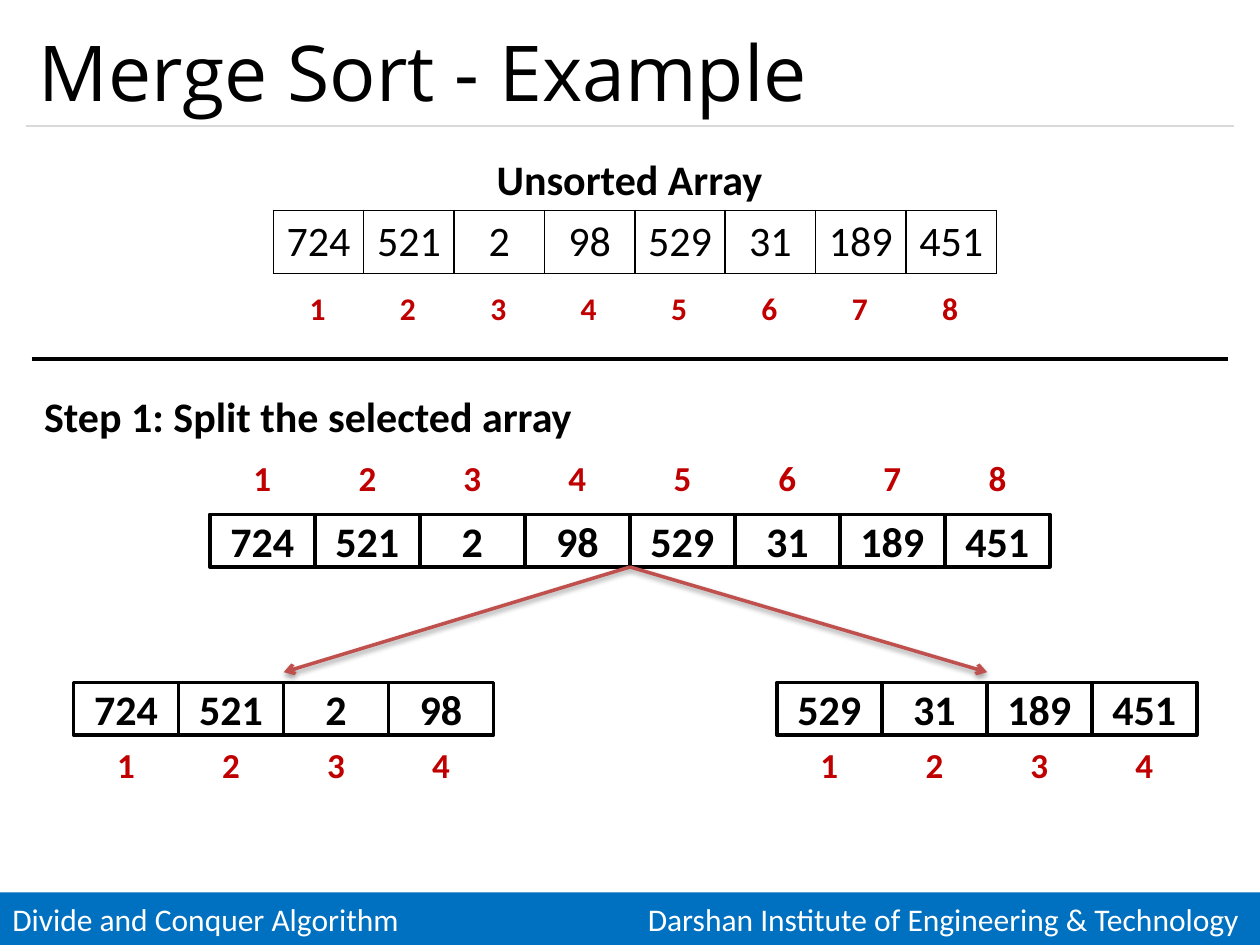
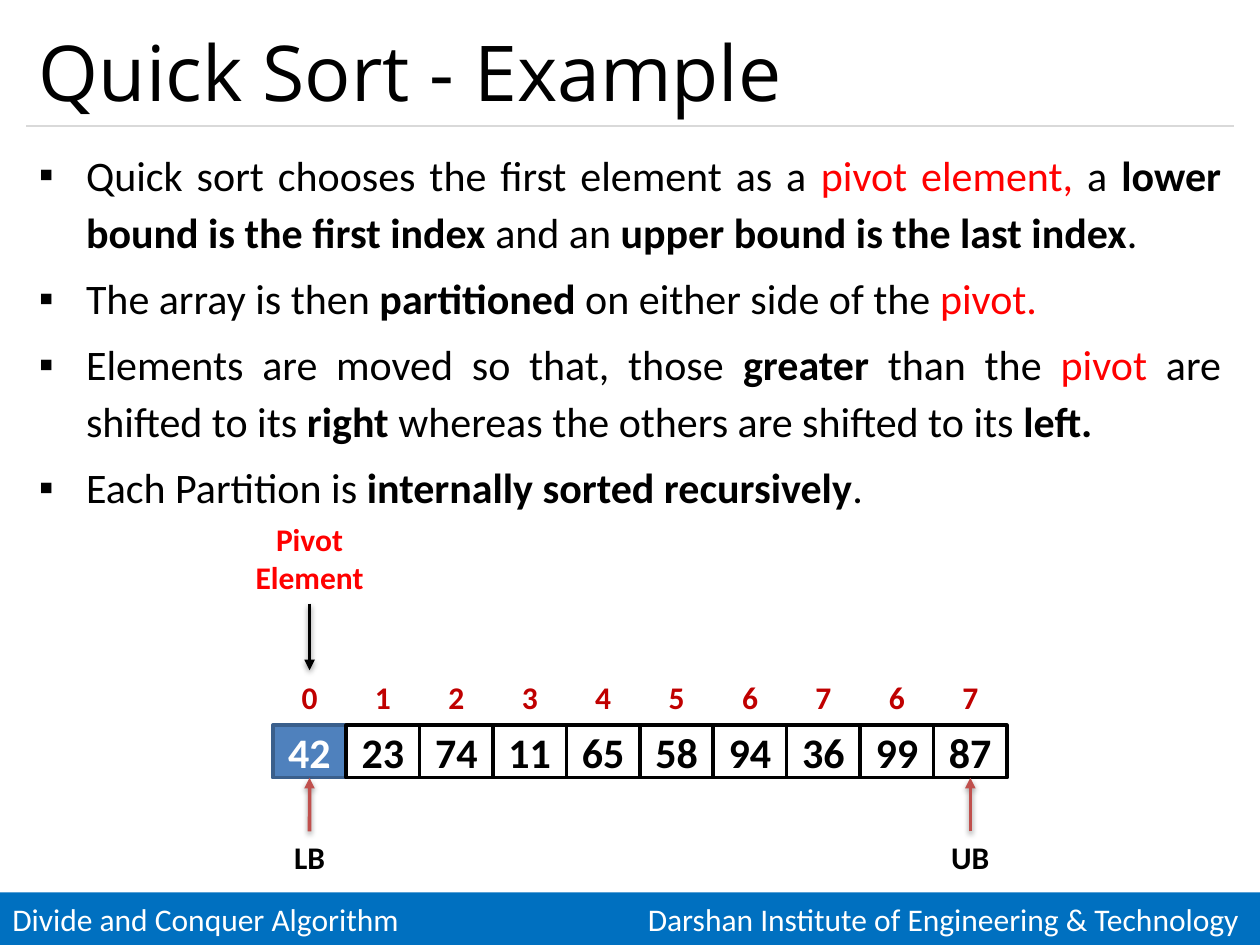
"""Build two slides on merge sort and quick sort with a shared title style and footer."""
from lxml import etree
from pptx import Presentation
from pptx.dml.color import RGBColor
from pptx.enum.shapes import MSO_CONNECTOR, MSO_SHAPE
from pptx.enum.text import MSO_ANCHOR, MSO_AUTO_SIZE, PP_ALIGN
from pptx.oxml.ns import qn
from pptx.util import Cm, Pt

RECTANGLE = MSO_SHAPE.RECTANGLE
STRAIGHT = MSO_CONNECTOR.STRAIGHT
LEFT, CENTER, JUSTIFY = PP_ALIGN.LEFT, PP_ALIGN.CENTER, PP_ALIGN.JUSTIFY
MIDDLE = MSO_ANCHOR.MIDDLE
NO_AUTOFIT = MSO_AUTO_SIZE.NONE
TOP, BOTTOM = 0, 2

COLOURS = {name: RGBColor.from_string(value) for name, value in {
    "black": "000000", "white": "FFFFFF", "band": "0070C0", "rule": "D9D9D9",
    "index": "C00000", "red": "FF0000", "arrow": "C0504D",
    "pivot": "4F81BD", "pivot line": "3A5F8C"}.items()}
BODY_FONT, TITLE_FONT = "Calibri", "Open Sans"
CELL_HEIGHT = 1.06


def draw_cells(slide, left, top, width, values, is_index=False, size=24):
    """Draw a row of adjoining boxes and return them."""
    cells = []
    for column, value in enumerate(values):
        cell = slide.shapes.add_shape(RECTANGLE, Cm(left + column * width), Cm(top),
                                      Cm(width), Cm(CELL_HEIGHT))
        cell.shadow.inherit = False
        cell.fill.solid()
        cell.fill.fore_color.rgb = COLOURS["white"]
        if is_index:
            cell.line.fill.background()
        else:
            cell.line.color.rgb = COLOURS["black"]
            cell.line.width = Pt(2)
        cell.text_frame.text = str(value)
        paragraph = cell.text_frame.paragraphs[0]
        paragraph.alignment = CENTER
        font = paragraph.font
        font.name, font.size, font.bold = BODY_FONT, Pt(size), True
        font.color.rgb = COLOURS["index" if is_index else "black"]
        cells.append(cell)
    return cells


def draw_line(slide, start, end, colour, width=2, head=None):
    """Draw a straight line; one with an arrowhead also gets a soft shadow."""
    line = slide.shapes.add_connector(STRAIGHT, *map(Cm, start + end))
    line.line.color.rgb = COLOURS[colour]
    line.line.width = Pt(width)
    properties = line.element.spPr
    effects = etree.SubElement(properties, qn("a:effectLst"))
    if head:
        etree.SubElement(properties.find(qn("a:ln")), qn("a:tailEnd"), type=head)
        shadow = etree.SubElement(effects, qn("a:outerShdw"), blurRad="40000",
                                  dist="20000", dir="5400000", rotWithShape="0")
        shade = etree.SubElement(shadow, qn("a:srgbClr"), val="000000")
        etree.SubElement(shade, qn("a:alpha"), val="38000")
    return line


presentation = Presentation()
presentation.slide_width, presentation.slide_height = Cm(25.4), Cm(19.05)
layouts = presentation.slide_layouts
merge_slide = presentation.slides.add_slide(layouts[5])
quick_slide = presentation.slides.add_slide(layouts[1])

for slide, heading in ((merge_slide, "Merge Sort - Example"),
                       (quick_slide, "Quick Sort - Example")):
    title = slide.shapes.title
    title.left, title.top, title.width, title.height = Cm(0.53), Cm(0.3), Cm(24.34), Cm(2.24)
    title.text_frame.text = heading
    title.text_frame.vertical_anchor = MIDDLE
    title.text_frame.auto_size = NO_AUTOFIT
    paragraph = title.text_frame.paragraphs[0]
    paragraph.alignment = LEFT
    paragraph.font.name, paragraph.font.size = TITLE_FONT, Pt(44)
    paragraph.font.color.rgb = COLOURS["black"]

band = merge_slide.shapes.add_shape(RECTANGLE, 0, Cm(17.99), Cm(25.4), Cm(CELL_HEIGHT))
band.shadow.inherit = False
band.fill.solid()
band.fill.fore_color.rgb = COLOURS["band"]
band.line.fill.background()
band.text_frame.text = ("Divide and Conquer Algorithm\t"
                        "Darshan Institute of Engineering & Technology")
paragraph = band.text_frame.paragraphs[0]
paragraph.alignment = LEFT
tab_stops = etree.SubElement(paragraph._p.get_or_add_pPr(), qn("a:tabLst"))
etree.SubElement(tab_stops, qn("a:tab"), pos=str(Cm(12.81)), algn="l")
paragraph.font.name, paragraph.font.size = BODY_FONT, Pt(18)
paragraph.font.color.rgb = COLOURS["white"]
rule = draw_line(merge_slide, (0.53, 2.54), (24.87, 2.54), "rule", 0.75)

for number, shape in enumerate((band, rule), start=20):
    shape.element[0][0].set("id", str(number))
    presentation.slide_master.shapes.element.append(shape.element)

labels = {}
for slide, text, left, top, width, height, size, colour, alignment in (
        (merge_slide, "Unsorted Array", 9.73, 2.97, 5.92, 1.27, 24, "black", CENTER),
        (merge_slide, "Step 1: Split the selected array",
         0.64, 7.75, 23.5, 1.27, 24, "black", LEFT),
        (quick_slide, "Pivot\nElement", 4.9, 10.36, 2.68, 1.81, 18, "red", CENTER),
        (quick_slide, "LB", 5.67, 16.76, 1.14, 1.02, 18, "black", CENTER),
        (quick_slide, "UB", 18.91, 16.76, 1.3, 1.02, 18, "black", CENTER)):
    label = slide.shapes.add_textbox(Cm(left), Cm(top), Cm(width), Cm(height))
    label.text_frame.word_wrap = True
    label.text_frame.text = text
    for paragraph in label.text_frame.paragraphs:
        paragraph.alignment = alignment
        font = paragraph.font
        font.name, font.size, font.bold = BODY_FONT, Pt(size), True
        font.color.rgb = COLOURS[colour]
    labels[text] = label

unsorted = [724, 521, 2, 98, 529, 31, 189, 451]
positions = range(1, len(unsorted) + 1)
for values, left, top, height, size, colour, bordered in (
        (unsorted, 5.51, 4.24, 1.27, 24, "black", True),
        (positions, 5.49, 5.72, 1.04, 18, "index", False)):
    table = merge_slide.shapes.add_table(1, len(values), Cm(left), Cm(top),
                                         Cm(14.58), Cm(height)).table
    table.first_row = table.horz_banding = False
    for column, value in enumerate(values):
        cell = table.cell(0, column)
        cell.text = str(value)
        paragraph = cell.text_frame.paragraphs[0]
        paragraph.alignment = CENTER
        font = paragraph.font
        font.name, font.size, font.bold = BODY_FONT, Pt(size), not bordered
        font.color.rgb = COLOURS[colour]
        properties = cell._tc.get_or_add_tcPr()
        for side in ("lnL", "lnR", "lnT", "lnB"):
            border = etree.SubElement(properties, qn("a:" + side), w=str(Pt(1)))
            if bordered:
                fill = etree.SubElement(border, qn("a:solidFill"))
                etree.SubElement(fill, qn("a:srgbClr"), val=str(COLOURS["black"]))
            else:
                etree.SubElement(border, qn("a:noFill"))
        cell.fill.background()

draw_line(merge_slide, (0.64, 7.24), (24.76, 7.24), "black", 2.25)
cell_width = 25.4 / 12
half = len(unsorted) // 2
for values, left, top, index_top in (
        (unsorted, 4.23, 10.37, 9.1),
        (unsorted[:half], 1.48, 13.76, 14.88),
        (unsorted[half:], 15.66, 13.76, 14.88)):
    draw_cells(merge_slide, left, top, cell_width, values)
    draw_cells(merge_slide, left, index_top, cell_width, range(1, len(values) + 1),
               is_index=True, size=20)
for target in (5.72, 19.9):
    draw_line(merge_slide, (12.7, 11.43), (target, 13.55), "arrow", head="arrow")

body = quick_slide.placeholders[1]
body.left, body.top, body.width, body.height = Cm(0.53), Cm(2.74), Cm(24.34), Cm(8.05)
body.text_frame.auto_size = NO_AUTOFIT
points = (
    (("Quick sort chooses the first element as a ", ""), ("pivot element,", "red"),
     (" a ", ""), ("lower bound is the first index ", "bold"), ("and an ", ""),
     ("upper bound is the last index", "bold"), (".", "")),
    (("The array is then ", ""), ("partitioned", "bold"),
     (" on either side of the ", ""), ("pivot.", "red")),
    (("Elements are moved so that, those ", ""), ("greater", "bold"), (" than the ", ""),
     ("pivot", "red"), (" are shifted to its ", ""), ("right ", "bold"),
     ("whereas the others are shifted to its ", ""), ("left.", "bold")),
    (("Each Partition is ", ""), ("internally sorted recursively", "bold"), (".", "")))
for number, point in enumerate(points):
    paragraph = body.text_frame.add_paragraph() if number else body.text_frame.paragraphs[0]
    paragraph.alignment = JUSTIFY
    paragraph.line_spacing = 1.14
    paragraph.space_before = Pt(4.8 if number else 0)
    properties = paragraph._p.get_or_add_pPr()
    properties.set("marL", str(Cm(0.95)))
    properties.set("indent", str(Cm(-0.95)))
    etree.SubElement(properties, qn("a:buFont"), typeface="Arial")
    etree.SubElement(properties, qn("a:buChar"), char="▪")
    paragraph.font.name, paragraph.font.size = BODY_FONT, Pt(24)
    paragraph.font.color.rgb = COLOURS["black"]
    for text, emphasis in point:
        run = paragraph.add_run()
        run.text = text
        if emphasis == "bold":
            run.font.bold = True
        elif emphasis == "red":
            run.font.color.rgb = COLOURS["red"]

numbers = draw_cells(quick_slide, 5.5, 14.62, 1.48, [42, 23, 74, 11, 65, 58, 94, 36, 99, 87])
indexes = draw_cells(quick_slide, 5.5, 13.51, 1.48, [0, 1, 2, 3, 4, 5, 6, 7, 6, 7],
                     is_index=True, size=18)
pivot = numbers[0]
pivot.fill.fore_color.rgb = COLOURS["pivot"]
pivot.line.color.rgb = COLOURS["pivot line"]
pivot.text_frame.paragraphs[0].font.color.rgb = COLOURS["white"]

for text, label_side, cell, cell_side, colour in (
        ("LB", TOP, pivot, BOTTOM, "arrow"),
        ("UB", TOP, numbers[-1], BOTTOM, "arrow"),
        ("Pivot\nElement", BOTTOM, indexes[0], TOP, "black")):
    arrow = draw_line(quick_slide, (0, 0), (0, 0), colour, head="triangle")
    arrow.begin_connect(labels[text], label_side)
    arrow.end_connect(cell, cell_side)

presentation.save("out.pptx")
